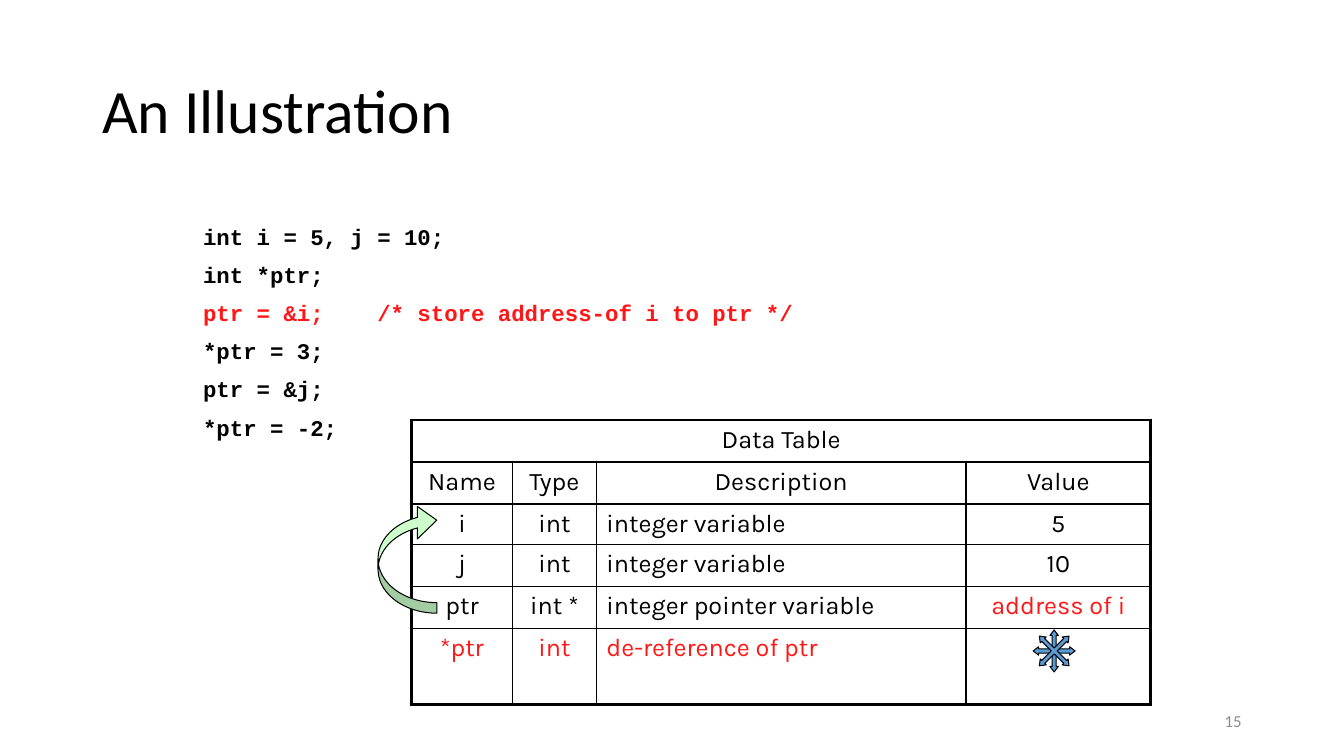
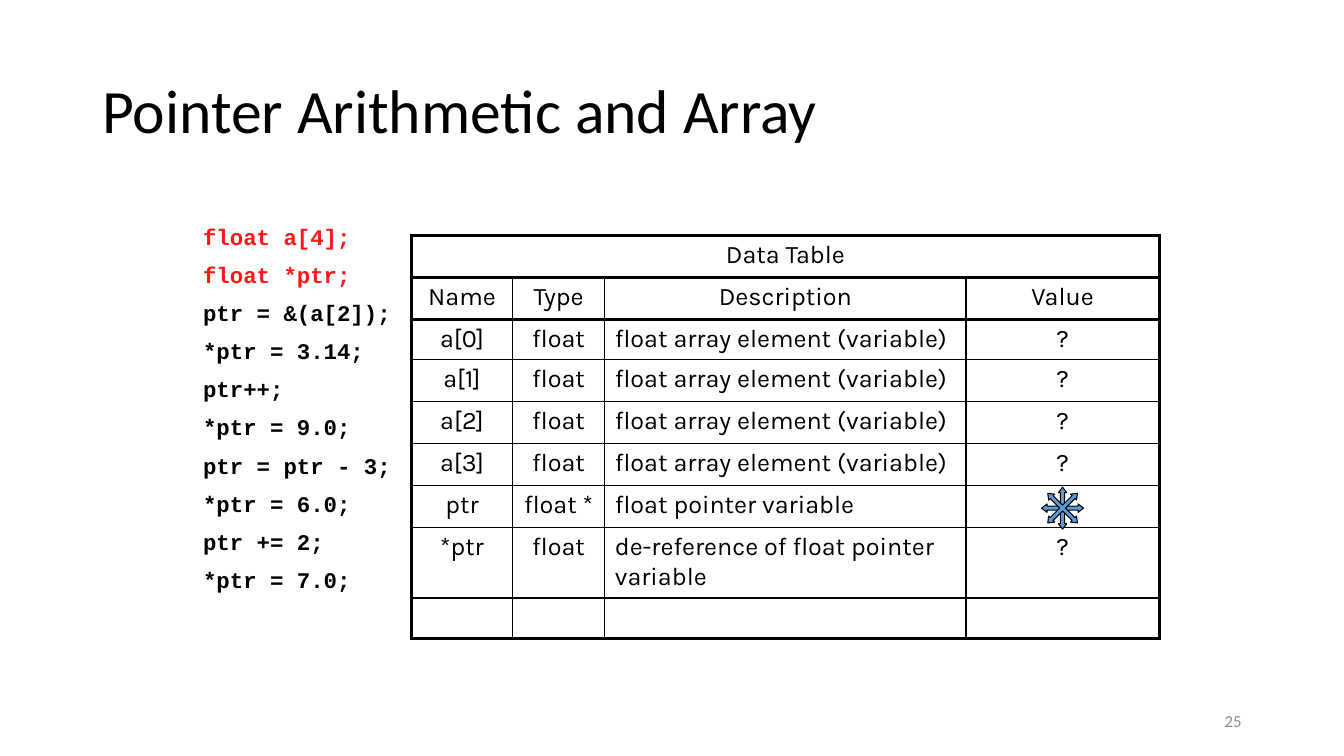
from lxml import etree
from pptx import Presentation
from pptx.dml.color import RGBColor
from pptx.enum.shapes import MSO_SHAPE
from pptx.enum.text import MSO_ANCHOR, PP_ALIGN
from pptx.oxml.ns import qn
from pptx.util import Inches, Pt

QUAD_ARROW = MSO_SHAPE.QUAD_ARROW
CURVED_ARROW = MSO_SHAPE.CURVED_LEFT_ARROW
MIDDLE, TOP = MSO_ANCHOR.MIDDLE, MSO_ANCHOR.TOP
LEFT, CENTER, RIGHT = PP_ALIGN.LEFT, PP_ALIGN.CENTER, PP_ALIGN.RIGHT

COLORS = {"text": "000000", "accent": "FF1717", "page": "8C8C8C",
          "star": "5B9BD5", "pointer": "CCFFCC"}
TITLE_FONT, CODE_FONT, TABLE_FONT = "Calibri", "Courier New", "Karla"
SLIDE_COLS, SLIDE_ROWS = 160, 90
CODE_LINE_ROWS = 4.78
HEADINGS = ["Name", "Type", "Description", "Value"]
DESCRIPTION = HEADINGS.index("Description")
THIN, HEAVY = Pt(1), Pt(2.25)


def grid(*cells):
    """Turn grid cells (twelve to the inch) into slide lengths."""
    return [Inches(cell / 12) for cell in cells]


def color(name):
    """Look up a named colour."""
    return RGBColor.from_string(COLORS[name])


def style(paragraph, font, size, tint="text", align=LEFT, bold=False):
    """Set the look of one paragraph."""
    paragraph.alignment = align
    paragraph.font.name = font
    paragraph.font.size = Pt(size)
    paragraph.font.bold = bold
    paragraph.font.color.rgb = color(tint)


def add_text(slide, area, lines, anchor=MIDDLE):
    """Add a wrapping text box and return its paragraphs."""
    frame = slide.shapes.add_textbox(*grid(*area)).text_frame
    frame.word_wrap = True
    frame.vertical_anchor = anchor
    frame.text = "\n".join(lines)
    return frame.paragraphs


def add_page(deck, title, number):
    """Start a slide with its title and page number."""
    slide = deck.slides.add_slide(deck.slide_layouts[6])
    heading, = add_text(slide, (11, 4.8, 138, 17.4), [title])
    style(heading, TITLE_FONT, 44)
    heading.line_spacing = 0.9
    page, = add_text(slide, (113, 83.4, 36, 4.8), [str(number)])
    style(page, TITLE_FONT, 12, "page", RIGHT)
    return slide


def add_code(slide, lines, accented):
    """Add the code listing, with the accented line indexes in red."""
    area = (23, 26, 112, CODE_LINE_ROWS * len(lines))
    for index, paragraph in enumerate(add_text(slide, area, lines, TOP)):
        style(paragraph, CODE_FONT, 16,
              "accent" if index in accented else "text", bold=True)
        if index:
            paragraph.space_before = Pt(8)


def set_borders(cell, heavy_sides):
    """Draw all four borders of a cell, heavy where flagged."""
    properties = cell._tc.get_or_add_tcPr()
    for side, heavy in heavy_sides.items():
        border = etree.SubElement(properties, qn(f"a:ln{side}"),
                                  w=str(HEAVY if heavy else THIN))
        fill = etree.SubElement(border, qn("a:solidFill"))
        etree.SubElement(fill, qn("a:srgbClr"), val=COLORS["text"])


def add_data_table(slide, corner, widths, heights, variables, accented=()):
    """Add the data table under its spanning caption and headings."""
    content = [["Data Table", "", "", ""], HEADINGS, *variables]
    area = (*corner, sum(widths), sum(heights))
    table = slide.shapes.add_table(len(content), len(widths), *grid(*area)).table
    table.first_row = table.horz_banding = False
    for column, width in zip(table.columns, grid(*widths)):
        column.width = width
    for row, height in zip(table.rows, grid(*heights)):
        row.height = height
    table.cell(0, 0).merge(table.cell(0, len(widths) - 1))
    last_row, last_col = len(content) - 1, len(widths) - 1
    for r, texts in enumerate(content):
        for c, text in enumerate(texts):
            cell = table.cell(r, c)
            set_borders(cell, {"L": r == 0 or c == 0,
                               "R": r == 0 or c == last_col,
                               "T": r <= 2,
                               "B": r < 2 or r == last_row})
            cell.fill.background()
            cell.text = text
            style(cell.text_frame.paragraphs[0], TABLE_FONT, 18,
                  "accent" if (r, c) in accented else "text",
                  LEFT if r > 1 and c == DESCRIPTION else CENTER)


def add_arrow(shapes, kind, area, tint, rotation, adjustments):
    """Add an outlined block arrow."""
    arrow = shapes.add_shape(kind, *grid(*area))
    arrow.shadow.inherit = False
    arrow.rotation = rotation
    for index, value in enumerate(adjustments):
        arrow.adjustments[index] = value
    arrow.fill.solid()
    arrow.fill.fore_color.rgb = color(tint)
    arrow.line.color.rgb = color("text")
    arrow.line.width = Pt(0.75)


def add_star(slide, left, top):
    """Add an eight-way star from two crossed arrows."""
    star = slide.shapes.add_group_shape()
    for rotation in (0, 45):
        add_arrow(star.shapes, QUAD_ARROW, (left, top, 5, 5), "star",
                  rotation, (0.1, 0.1, 0.13))


def add_illustration(deck):
    """Build the slide on storing an address."""
    slide = add_page(deck, "An Illustration", 15)
    add_code(slide, ["int i = 5, j = 10;", "int *ptr;",
                     "ptr = &i;    /* store address-of i to ptr */",
                     "*ptr = 3;", "ptr = &j;", "*ptr = -2;"], {2})
    variables = [["i", "int", "integer variable", "5"],
                 ["j", "int", "integer variable", "10"],
                 ["ptr", "int *", "integer pointer variable", "address of i"],
                 ["*ptr", "int", "de-reference of ptr", ""]]
    add_data_table(slide, (49, 50), (12, 10, 44, 22), (5, 5, 4.8, 5, 5, 9.1),
                   variables, {(4, 3), (5, 0), (5, 1), (5, 2)})
    add_star(slide, 123, 75)
    add_arrow(slide.shapes, CURVED_ARROW, (45, 60, 7, 13), "pointer", 180,
              (0.18, 0.55, 0.33))


def add_pointer_arithmetic(deck):
    """Build the slide on pointers into an array."""
    slide = add_page(deck, "Pointer Arithmetic and Array", 25)
    add_code(slide, ["float a[4];", "float *ptr;", "ptr = &(a[2]);",
                     "*ptr = 3.14;", "ptr++;", "*ptr = 9.0;",
                     "ptr = ptr - 3;", "*ptr = 6.0;", "ptr += 2;",
                     "*ptr = 7.0;"], {0, 1})
    elements = [[f"a[{i}]", "float", "float array element (variable)", "?"]
                for i in range(4)]
    variables = [*elements,
                 ["ptr", "float *", "float pointer variable", ""],
                 ["*ptr", "float", "de-reference of float pointer variable", "?"],
                 ["", "", "", ""]]
    add_data_table(slide, (49, 28), (12, 11, 43, 23),
                   (5, 5, 4.8, 5, 5, 5, 5, 8.4, 4.8), variables)
    add_star(slide, 124, 58)


def main():
    """Build and save the deck."""
    deck = Presentation()
    deck.slide_width, deck.slide_height = grid(SLIDE_COLS, SLIDE_ROWS)
    add_illustration(deck)
    add_pointer_arithmetic(deck)
    deck.save("out.pptx")


if __name__ == "__main__":
    main()
